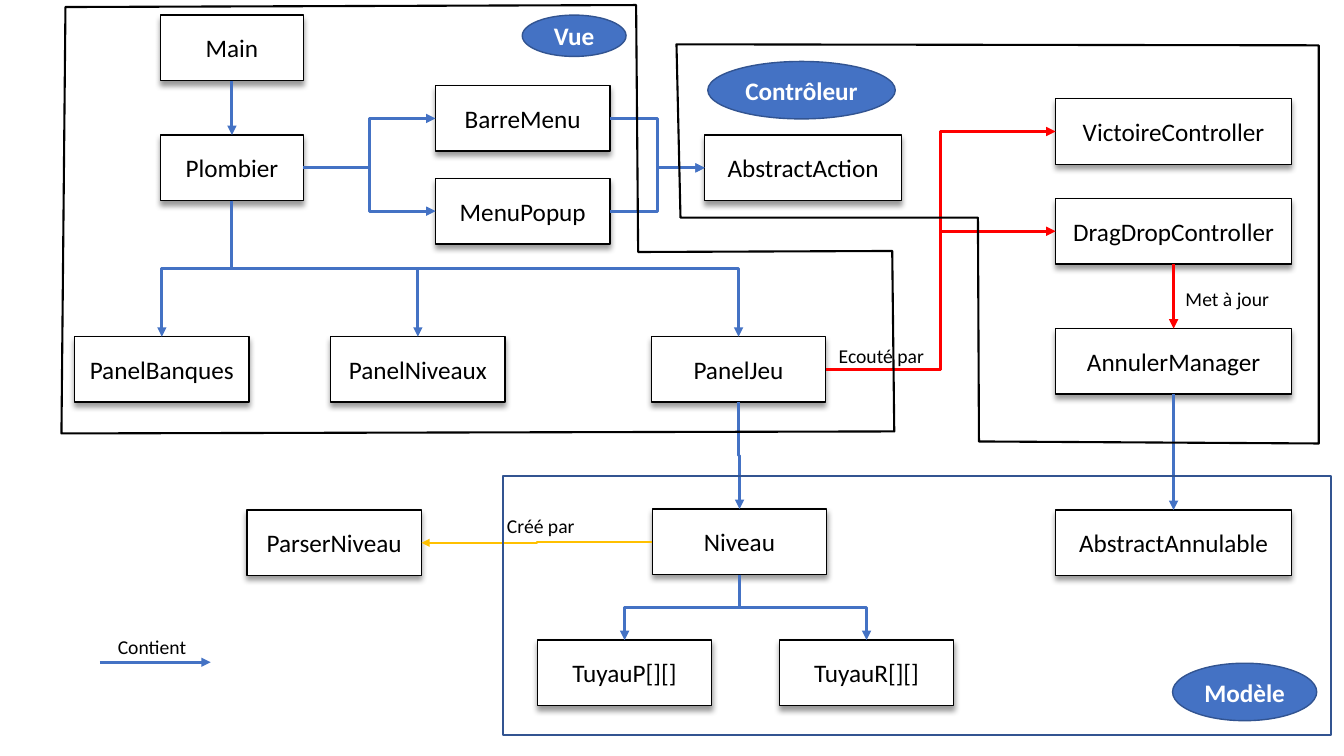
from lxml.etree import SubElement
from pptx import Presentation
from pptx.dml.color import RGBColor
from pptx.enum.shapes import MSO_CONNECTOR, MSO_SHAPE
from pptx.enum.text import MSO_ANCHOR, PP_ALIGN
from pptx.oxml.ns import qn
from pptx.util import Emu, Pt

PX = 9144  # 100 px to the inch
TOP, LEFT, BOTTOM, RIGHT = range(4)
BLACK, WHITE, BLUE, NAVY, RED, GOLD = "000000", "FFFFFF", "4472C4", "325491", "FF0000", "FFC000"
BOX_HEIGHT = 65


def px(length):
    return Emu(length * PX)


def color(value):
    return RGBColor.from_string(value)


class Diagram:
    font = "Calibri"

    def __init__(self, slide):
        self.shapes = slide.shapes

    def set_text(self, shape, text, size, fill, bold=False, align=PP_ALIGN.CENTER):
        frame = shape.text_frame
        frame.word_wrap = True
        frame.text = text
        para = frame.paragraphs[0]
        para.alignment = align
        font = para.runs[0].font
        font.name, font.size, font.bold = self.font, Pt(size), bold
        font.color.rgb = color(fill)

    def outline(self, shape, stroke, weight, fill=None):
        shape.shadow.inherit = False
        shape.line.color.rgb = color(stroke)
        shape.line.width = Pt(weight)
        if fill:
            shape.fill.solid()
            shape.fill.fore_color.rgb = color(fill)
        else:
            shape.fill.background()

    def shape(self, kind, left, top, width, height, stroke, weight, fill=None):
        shape = self.shapes.add_shape(kind, px(left), px(top), px(width), px(height))
        self.outline(shape, stroke, weight, fill)
        return shape

    def box(self, text, left, top, width):
        box = self.shape(MSO_SHAPE.RECTANGLE, left, top, width, BOX_HEIGHT, BLACK, 1, WHITE)
        effects = box.element.spPr.find(qn("a:effectLst"))
        shadow = SubElement(effects, qn("a:outerShdw"), blurRad=str(Pt(4)), dist=str(Pt(3)),
                            dir="5400000", algn="t", rotWithShape="0")
        tint = SubElement(shadow, qn("a:srgbClr"), val=BLACK)
        SubElement(tint, qn("a:alpha"), val="40000")
        box.text_frame.vertical_anchor = MSO_ANCHOR.MIDDLE
        self.set_text(box, text, 18, BLACK)
        return box

    def badge(self, text, left, top, width, height):
        badge = self.shape(MSO_SHAPE.OVAL, left, top, width, height, NAVY, 1, BLUE)
        badge.text_frame.vertical_anchor = MSO_ANCHOR.MIDDLE
        self.set_text(badge, text, 18, WHITE, bold=True)

    def label(self, text, left, top, width):
        label = self.shapes.add_textbox(px(left), px(top), px(width), px(34))
        self.set_text(label, text, 14, BLACK, align=PP_ALIGN.LEFT)

    def zone(self, points):
        builder = self.shapes.build_freeform(*points[0], scale=PX)
        builder.add_line_segments(points[1:], close=True)
        self.outline(builder.convert_to_shape(), BLACK, 1.5)

    def arrow(self, kind, stroke, weight, ends=(0, 0, 0, 0)):
        arrow = self.shapes.add_connector(kind, *map(px, ends))
        arrow.line.color.rgb = color(stroke)
        arrow.line.width = Pt(weight)
        properties = arrow.element.spPr
        SubElement(properties.find(qn("a:ln")), qn("a:tailEnd"), type="triangle")
        SubElement(properties, qn("a:effectLst"))
        return arrow

    def link(self, source, side, target, target_side, stroke=BLUE, weight=2.25,
             kind=MSO_CONNECTOR.ELBOW):
        arrow = self.arrow(kind, stroke, weight)
        arrow.begin_connect(source, side)
        arrow.end_connect(target, target_side)
        if kind == MSO_CONNECTOR.ELBOW and side == BOTTOM:
            self.turn_down(arrow)

    def turn_down(self, arrow):
        """Rotate an elbow so that it leaves its source downwards."""
        rightwards = arrow.end_x > arrow.begin_x
        width, height = arrow.width, arrow.height
        arrow.left += (width - height) // 2
        arrow.top += (height - width) // 2
        arrow.width, arrow.height = height, width
        frame = arrow.element.spPr.xfrm
        frame.flipH = rightwards
        frame.rot = 270 if rightwards else 90


def main():
    deck = Presentation()
    deck.slide_width, deck.slide_height = px(1333), px(750)
    diagram = Diagram(deck.slides.add_slide(deck.slide_layouts[6]))

    # Classes: name, left, top, width
    classes = [
        ("Main", 159, 15, 142), ("Plombier", 159, 134, 142),
        ("BarreMenu", 432, 85, 173), ("MenuPopup", 432, 177, 173),
        ("PanelBanques", 74, 334, 173), ("PanelNiveaux", 328, 334, 173),
        ("PanelJeu", 646, 334, 173), ("AbstractAction", 699, 134, 195),
        ("VictoireController", 1047, 98, 234), ("DragDropController", 1047, 197, 234),
        ("AnnulerManager", 1047, 326, 234), ("AbstractAnnulable", 1047, 506, 234),
        ("Niveau", 647, 505, 173), ("ParserNiveau", 245, 506, 173),
        ("TuyauP[][]", 533, 635, 173), ("TuyauR[][]", 773, 635, 173),
    ]
    boxes = {name: diagram.box(name, *place) for name, *place in classes}

    # Straight links
    for source, target, stroke in [
        ("Main", "Plombier", BLUE),
        ("DragDropController", "AnnulerManager", RED),
        ("AnnulerManager", "AbstractAnnulable", BLUE),
    ]:
        diagram.link(boxes[source], BOTTOM, boxes[target], TOP, stroke,
                     kind=MSO_CONNECTOR.STRAIGHT)

    # Elbow links running down
    for source, targets in [
        ("Plombier", ["PanelBanques", "PanelNiveaux", "PanelJeu"]),
        ("PanelJeu", ["Niveau"]),
        ("Niveau", ["TuyauP[][]", "TuyauR[][]"]),
    ]:
        for target in targets:
            diagram.link(boxes[source], BOTTOM, boxes[target], TOP)

    # Elbow links running across
    for source, target, stroke in [
        ("Plombier", "BarreMenu", BLUE), ("Plombier", "MenuPopup", BLUE),
        ("BarreMenu", "AbstractAction", BLUE), ("MenuPopup", "AbstractAction", BLUE),
        ("PanelJeu", "VictoireController", RED), ("PanelJeu", "DragDropController", RED),
    ]:
        diagram.link(boxes[source], RIGHT, boxes[target], LEFT, stroke)
    diagram.link(boxes["Niveau"], LEFT, boxes["ParserNiveau"], RIGHT, GOLD, 1)

    # Link labels and legend
    diagram.label("Créé par", 493, 505, 90)
    diagram.label("Ecouté par", 822, 336, 106)
    diagram.label("Met à jour", 1166, 280, 106)
    diagram.label("Contient", 107, 625, 106)
    diagram.arrow(MSO_CONNECTOR.STRAIGHT, BLUE, 2.25, (99, 657, 209, 657))

    # Zones and their badges
    diagram.shape(MSO_SHAPE.RECTANGLE, 499, 472, 821, 257, NAVY, 1.5)
    diagram.badge("Vue", 518, 15, 103, 41)
    diagram.badge("Modèle", 1163, 658, 143, 57)
    diagram.badge("Contrôleur", 702, 61, 186, 57)
    diagram.zone([(65, 7), (61, 430), (887, 428), (885, 249), (633, 250), (631, 5)])
    diagram.zone([(671, 44), (675, 216), (970, 216), (971, 438), (1308, 440), (1308, 45)])

    deck.save("out.pptx")


if __name__ == "__main__":
    main()
